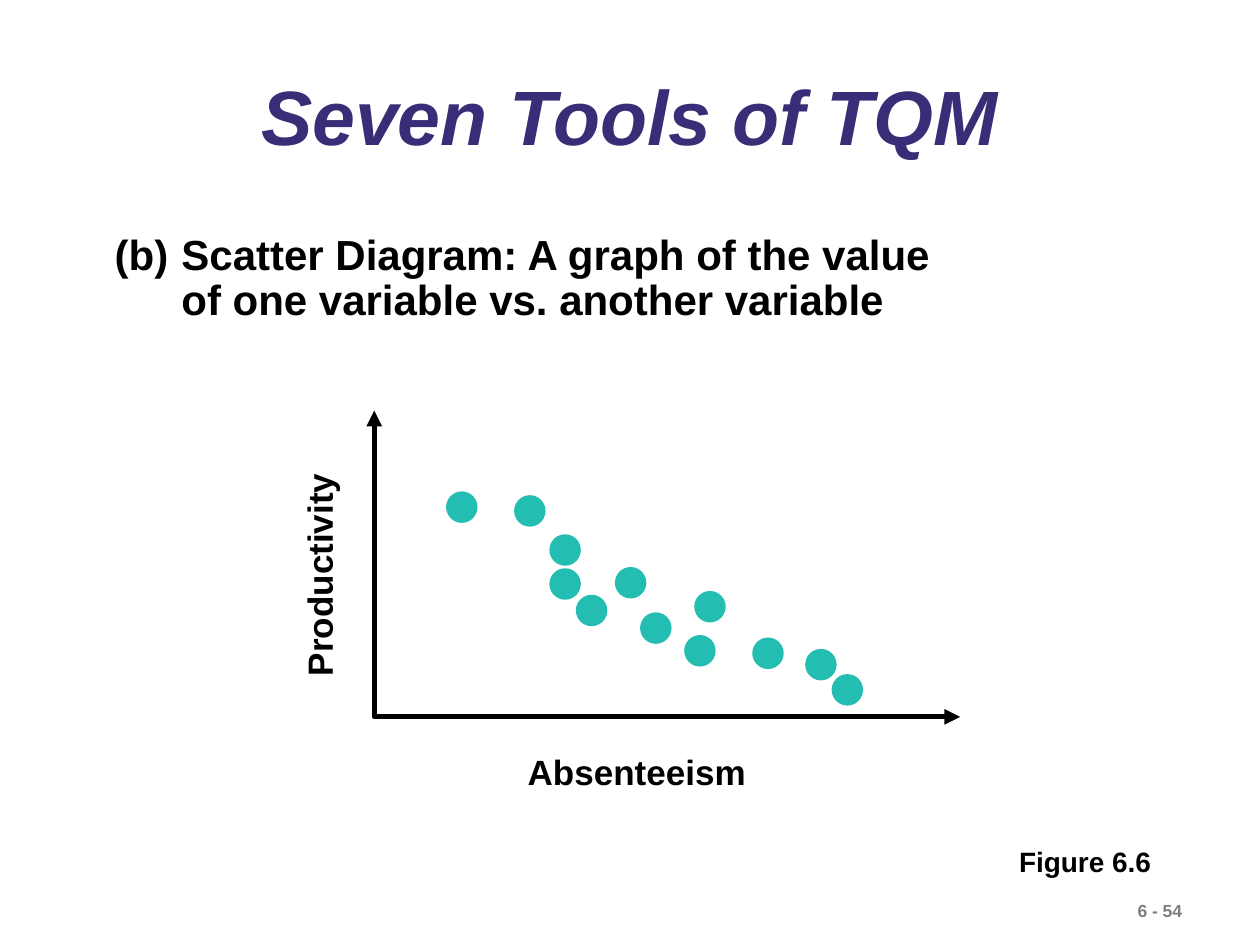
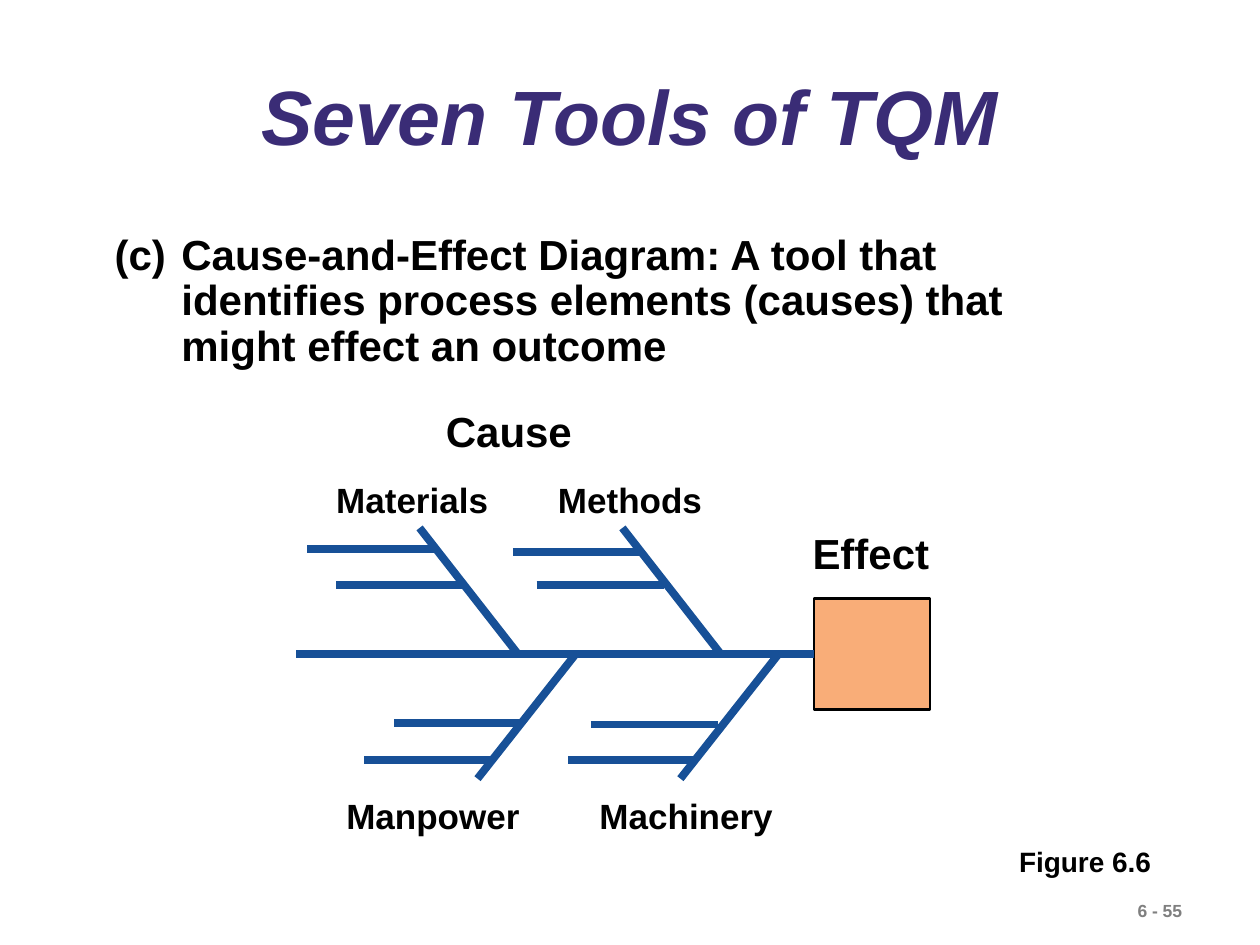
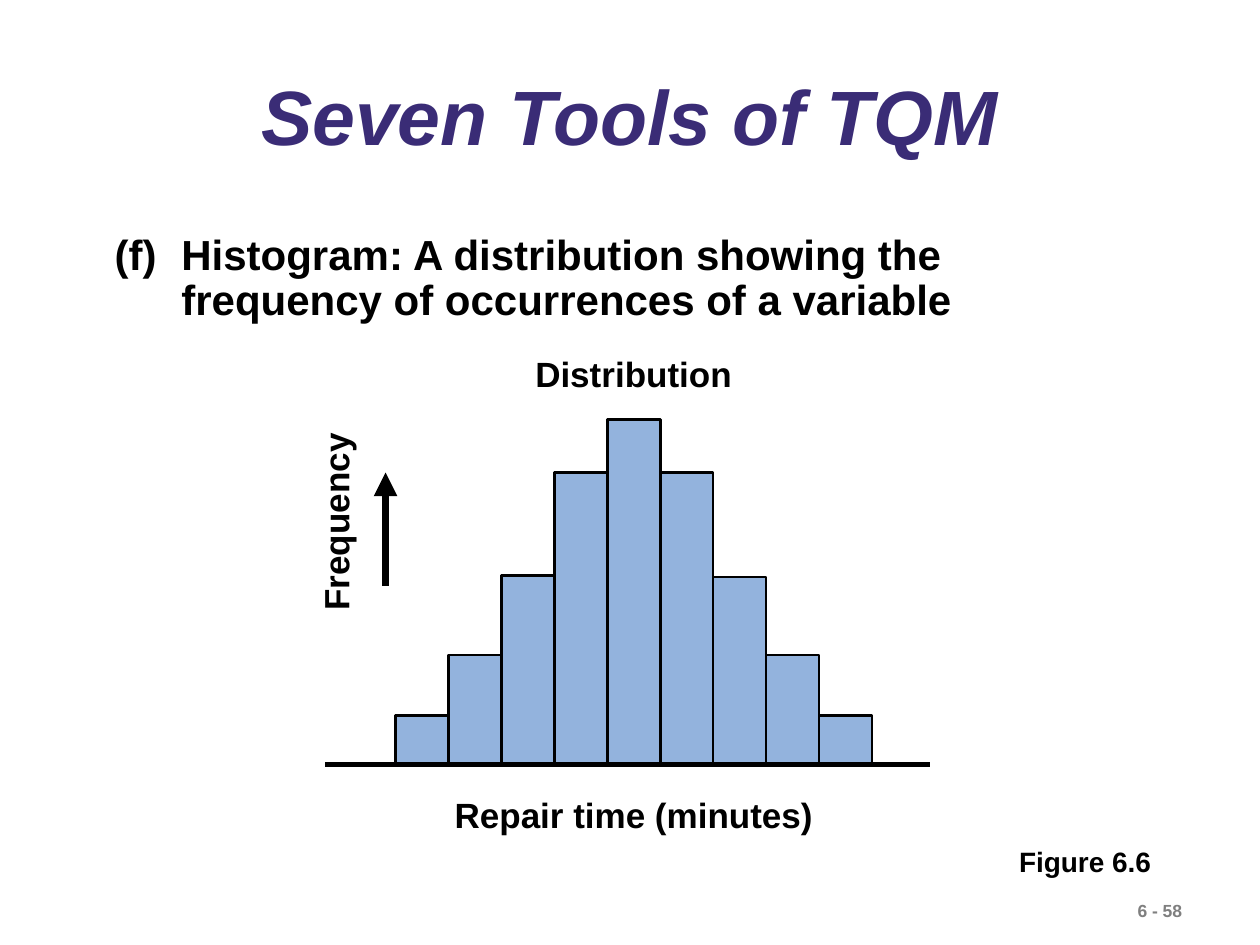
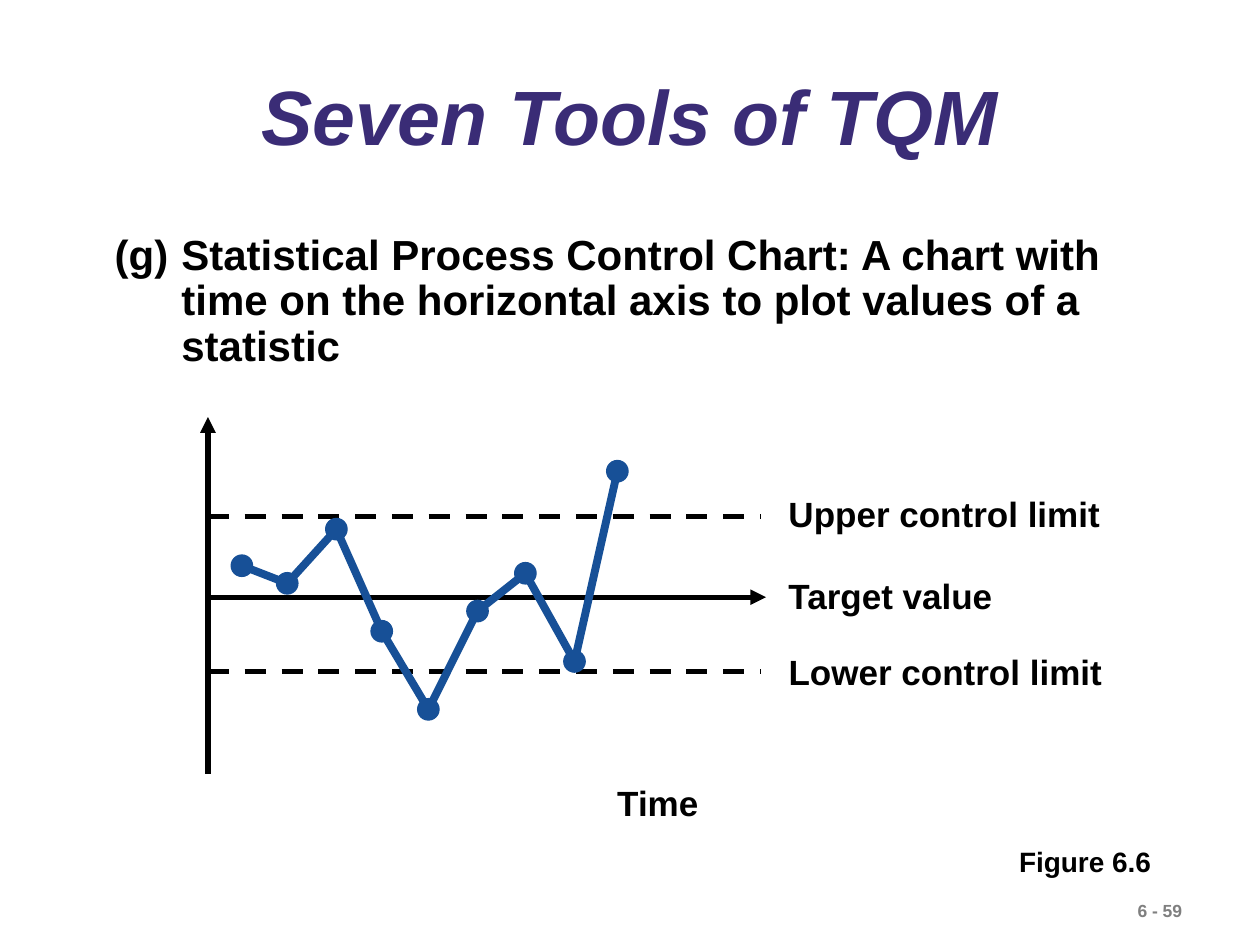
"""Builds four slides on the seven tools of TQM."""
from dataclasses import dataclass

from lxml import etree
from pptx import Presentation
from pptx.dml.color import RGBColor
from pptx.enum.dml import MSO_LINE
from pptx.enum.shapes import MSO_CONNECTOR, MSO_SHAPE
from pptx.enum.text import MSO_ANCHOR, MSO_AUTO_SIZE, PP_ALIGN
from pptx.oxml.ns import qn
from pptx.util import Inches, Pt

STRAIGHT = MSO_CONNECTOR.STRAIGHT
OVAL, RECTANGLE = MSO_SHAPE.OVAL, MSO_SHAPE.RECTANGLE
DASH = MSO_LINE.DASH
MIDDLE, TOP = MSO_ANCHOR.MIDDLE, MSO_ANCHOR.TOP
FIT_TEXT, NO_FIT = MSO_AUTO_SIZE.SHAPE_TO_FIT_TEXT, MSO_AUTO_SIZE.NONE
LEFT, CENTER = PP_ALIGN.LEFT, PP_ALIGN.CENTER
LEFT_SIDE = 1
TITLE_AND_CONTENT = 1


@dataclass(frozen=True)
class Theme:
    """Colours, type sizes and line weights of the deck."""
    font: str = "Arial"
    ink: str = "000000"
    title: str = "3A2C76"
    page: str = "7F7F7F"
    dot: str = "24BDB2"
    blue: str = "175097"
    effect: str = "F9AD78"
    bar: str = "93B3DD"
    title_size: int = 44
    body_size: int = 24
    label_size: int = 20
    figure_size: int = 16
    page_size: int = 10
    thin: float = 0.75
    outline: float = 1.5
    axis: float = 3
    heavy: float = 4.5


THEME = Theme()


def assign(target, **values):
    """Set each given attribute on the target."""
    for key, value in values.items():
        setattr(target, key, value)


def write(frame, text, size, color=THEME.ink, italic=False, **paragraph_format):
    """Put one formatted paragraph in a text frame."""
    frame.text = text
    paragraph = frame.paragraphs[0]
    assign(paragraph, **paragraph_format)
    font = paragraph.runs[0].font
    assign(font, name=THEME.font, size=Pt(size), bold=True, italic=italic)
    font.color.rgb = RGBColor.from_string(color)
    return paragraph


def place(shape, left, top, width, height):
    """Move and size a shape, in inches."""
    assign(shape, left=Inches(left), top=Inches(top),
           width=Inches(width), height=Inches(height))


def stroke(shape, color, weight, dash=None, ends=()):
    """Style a line, with triangles at the ends named."""
    shape.line.color.rgb = RGBColor.from_string(color)
    assign(shape.line, width=Pt(weight), dash_style=dash)
    ln = shape._element.spPr.find(qn("a:ln"))
    for end in ends:
        etree.SubElement(ln, qn(f"a:{end}"), type="triangle")


class Panel:
    """A group whose parts are placed relative to a corner."""

    def __init__(self, slide, left, top):
        """Open an empty group at the corner."""
        self.left, self.top = left, top
        self.shapes = slide.shapes.add_group_shape().shapes

    def at(self, x, y):
        """Turn an offset into a position on the slide."""
        return Inches(self.left + x), Inches(self.top + y)

    def label(self, text, x, y, width, height=0.44, size=THEME.label_size,
              color=THEME.ink, rotation=0):
        """Add a one-line bold label."""
        box = self.shapes.add_textbox(*self.at(x, y), Inches(width), Inches(height))
        box.rotation = rotation
        assign(box.text_frame, word_wrap=False, auto_size=FIT_TEXT,
               margin_right=Inches(0.05))
        write(box.text_frame, text, size, color)

    def line(self, start, end, color, weight, **style):
        """Add a straight line between two offsets."""
        connector = self.shapes.add_connector(STRAIGHT, *self.at(*start), *self.at(*end))
        stroke(connector, color, weight, **style)
        etree.SubElement(connector._element.spPr, qn("a:effectLst"))
        return connector

    def solid(self, kind, x, y, width, height, fill, outline=None, weight=THEME.outline):
        """Add a filled preset shape."""
        shape = self.shapes.add_shape(kind, *self.at(x, y), Inches(width), Inches(height))
        shape.shadow.inherit = False
        shape.fill.solid()
        shape.fill.fore_color.rgb = RGBColor.from_string(fill)
        if outline:
            stroke(shape, outline, weight)
        else:
            shape.line.fill.background()
        return shape

    def polyline(self, points, color, weight, **style):
        """Add an open, unfilled path through the offsets."""
        start, *rest = [self.at(*point) for point in points]
        builder = self.shapes.build_freeform(*start)
        builder.add_line_segments(rest, close=False)
        shape = builder.convert_to_shape()
        shape.shadow.inherit = False
        shape.fill.background()
        stroke(shape, color, weight, **style)


def tool_slide(deck, page, mark, definition, width, height):
    """Add a slide with the shared title, definition and footer."""
    slide = deck.slides.add_slide(deck.slide_layouts[TITLE_AND_CONTENT])
    title, body = slide.placeholders
    place(title, 0.75, 0.55, 8.5, 0.81)
    assign(title.text_frame, vertical_anchor=MIDDLE, auto_size=NO_FIT, word_wrap=True)
    write(title.text_frame, "Seven Tools of TQM", THEME.title_size, THEME.title,
          italic=True, alignment=CENTER, line_spacing=0.9)

    place(body, 0.81, 1.81, width, height)
    assign(body.text_frame, vertical_anchor=TOP, auto_size=NO_FIT, word_wrap=True)
    paragraph = write(body.text_frame, f"{mark}\t{definition}", THEME.body_size,
                      alignment=LEFT, line_spacing=0.9, space_before=Pt(0))
    properties = paragraph._p.get_or_add_pPr()
    properties.set("marL", str(Inches(0.53)))
    properties.set("indent", str(Inches(-0.53)))
    etree.SubElement(properties, qn("a:buNone"))

    footer = Panel(slide, 7.99, 6.65)
    footer.label("Figure 6.6", 0, 0, 1.24, 0.37, THEME.figure_size)
    footer.label(f"6 - {page}", 0.94, 0.44, 1.07, 0.27, THEME.page_size, THEME.page)
    return slide


def scatter_diagram(slide, left, top, width, height):
    """Draw the scatter of productivity against absenteeism."""
    panel = Panel(slide, left, top)
    panel.polyline([(0, 0), (0, height), (width, height)], THEME.ink, THEME.axis,
                   ends=("headEnd", "tailEnd"))
    panel.label("Absenteeism", 1.12, height + 0.22, 1.93)
    panel.label("Productivity", -1.34, 1.08, 1.81, rotation=270)
    observations = [(0.57, 0.64), (1.11, 0.67), (1.39, 0.98), (1.39, 1.25),
                    (1.91, 1.24), (1.6, 1.46), (2.11, 1.6), (2.54, 1.43),
                    (2.46, 1.78), (3, 1.8), (3.42, 1.89), (3.63, 2.09)]
    for x, y in observations:
        panel.solid(OVAL, x, y, 0.25, 0.25, THEME.dot)


def fishbone_diagram(slide, left, top):
    """Draw the cause-and-effect fishbone."""
    panel = Panel(slide, left, top)
    spine, rib_gap, twig_length = 2.02, 1.61, 1.01
    bone = {"color": THEME.blue, "weight": THEME.heavy}
    for heading, x, y, width in [("Cause", 1.09, 0, 1.2), ("Effect", 4, 0.97, 1.12)]:
        panel.label(heading, x, y, width, 0.5, THEME.body_size)
    for cause, x, y, width in [("Materials", 0.22, 0.58, 1.4), ("Methods", 1.98, 0.58, 1.34),
                               ("Manpower", 0.3, 3.09, 1.57), ("Machinery", 2.31, 3.09, 1.57)]:
        panel.label(cause, x, y, width)
    effect = panel.solid(RECTANGLE, 4.11, spine - 0.44, 0.92, 0.88, THEME.effect, THEME.ink)
    panel.line((0, spine), (4.11, spine), **bone).end_connect(effect, LEFT_SIDE)
    for first_rib, tip in [(0.98, spine - 1), (1.44, spine + 0.99)]:
        for x in (first_rib, first_rib + rib_gap):
            panel.line((x, tip), (x + 0.78, spine), **bone)
    twigs = [(0.09, 1.19), (0.32, 1.47), (1.72, 1.21), (1.91, 1.47), (0.93, spine),
             (0.78, 2.57), (0.54, 2.86), (2.34, 2.58), (2.16, 2.86)]
    for x, y in twigs:
        panel.line((x, y), (x + twig_length, y), **bone)


def histogram(slide, left, top, width):
    """Draw the histogram of repair times."""
    panel = Panel(slide, left, top)
    baseline, bar_width = 3.32, 0.42
    panel.label("Distribution", 1.57, 0, 1.76)
    panel.label("Repair time (minutes)", 0.93, 3.5, 3.04)
    panel.label("Frequency", -0.72, 1.17, 1.61, rotation=270)
    panel.line((0.48, 1.9), (0.48, 1), THEME.ink, THEME.heavy, ends=("tailEnd",))
    frequencies = [0.39, 0.87, 1.5, 2.32, 2.74, 2.32, 1.49, 0.87, 0.39]
    for index, frequency in enumerate(frequencies):
        panel.solid(RECTANGLE, 0.56 + index * bar_width, baseline - frequency,
                    bar_width, frequency, THEME.bar, THEME.ink)
    panel.line((0, baseline), (width, baseline), THEME.ink, THEME.axis)


def control_chart(slide, left, top, height):
    """Draw the process control chart with its limits."""
    panel = Panel(slide, left, top)
    arrow, dashed = {"ends": ("tailEnd",)}, {"dash": DASH}
    panel.line((0, height), (0, 0), THEME.ink, THEME.axis, **arrow)
    levels = [("Upper control limit", 0.79, 4.39, 0.55, 2.67, dashed),
              ("Target value", 1.43, 4.43, 1.2, 1.84, arrow),
              ("Lower control limit", 2.02, 4.39, 1.8, 2.69, dashed)]
    for level, y, length, label_top, label_width, style in levels:
        panel.line((0, y), (length, y), THEME.ink, THEME.axis, **style)
        panel.label(level, 4.51, label_top, label_width)
    panel.label("Time", 3.15, height + 0.01, 0.85)
    samples = [(0.27, 1.18), (0.63, 1.32), (1.02, 0.89), (1.38, 1.7), (1.75, 2.32),
               (2.14, 1.54), (2.52, 1.24), (2.91, 1.94), (3.25, 0.43)]
    panel.polyline(samples, THEME.blue, THEME.heavy)
    diameter = 0.17
    for x, y in samples:
        panel.solid(OVAL, x - diameter / 2, y - diameter / 2, diameter, diameter,
                    THEME.blue, THEME.blue, THEME.thin)


def main():
    """Build and save the deck."""
    deck = Presentation()
    assign(deck, slide_width=Inches(10), slide_height=Inches(7.5))
    scatter_diagram(tool_slide(
        deck, 54, "(b)",
        "Scatter Diagram: A graph of the value of one variable vs. another variable",
        6.76, 0.82), 2.97, 3.26, 4.65, 2.43)
    fishbone_diagram(tool_slide(
        deck, 55, "(c)",
        "Cause-and-Effect Diagram: A tool that identifies process elements (causes) "
        "that might effect an outcome", 7.4, 1.18), 2.35, 3.17)
    histogram(tool_slide(
        deck, 58, "(f)",
        "Histogram: A distribution showing the frequency of occurrences of a variable",
        7.96, 0.82), 2.58, 2.75, 4.8)
    control_chart(tool_slide(
        deck, 59, "(g)",
        "Statistical Process Control Chart: A chart with time on the horizontal axis "
        "to plot values of a statistic", 8.18, 1.18), 1.65, 3.31, 2.83)
    deck.save("out.pptx")


if __name__ == "__main__":
    main()
